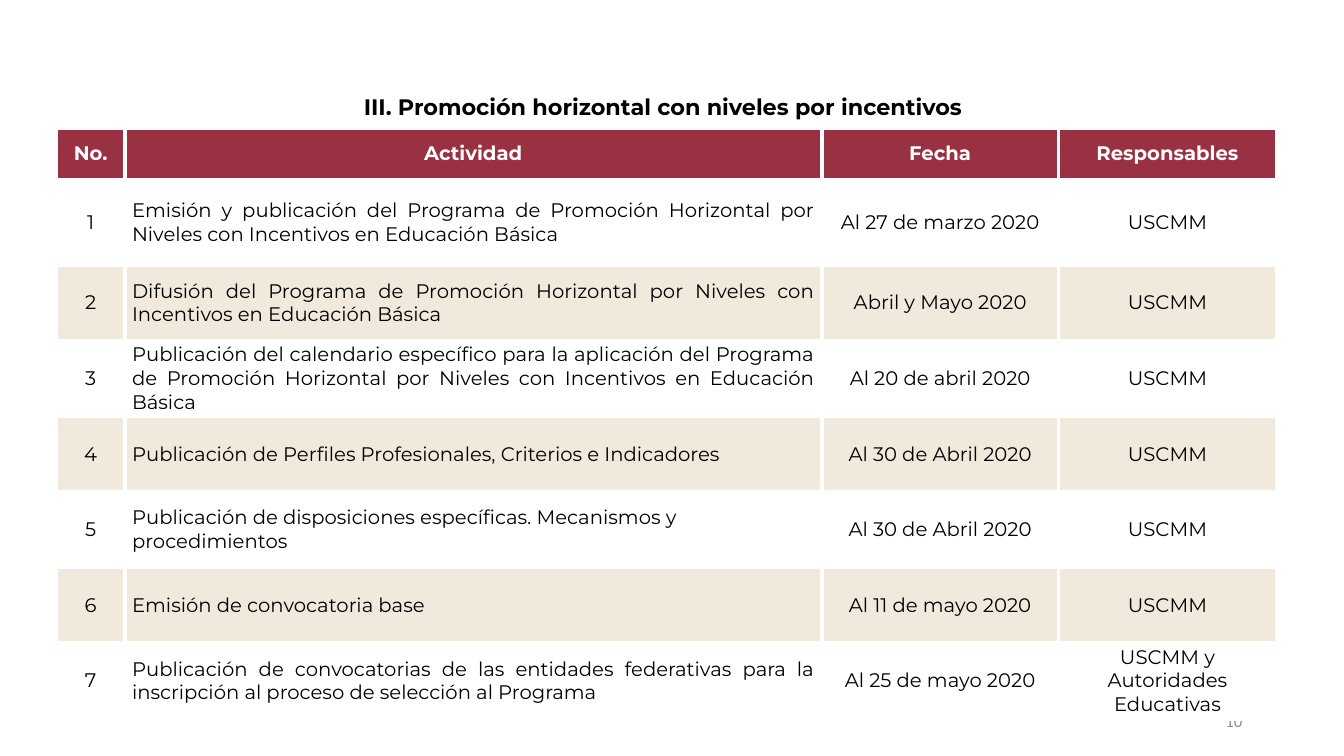
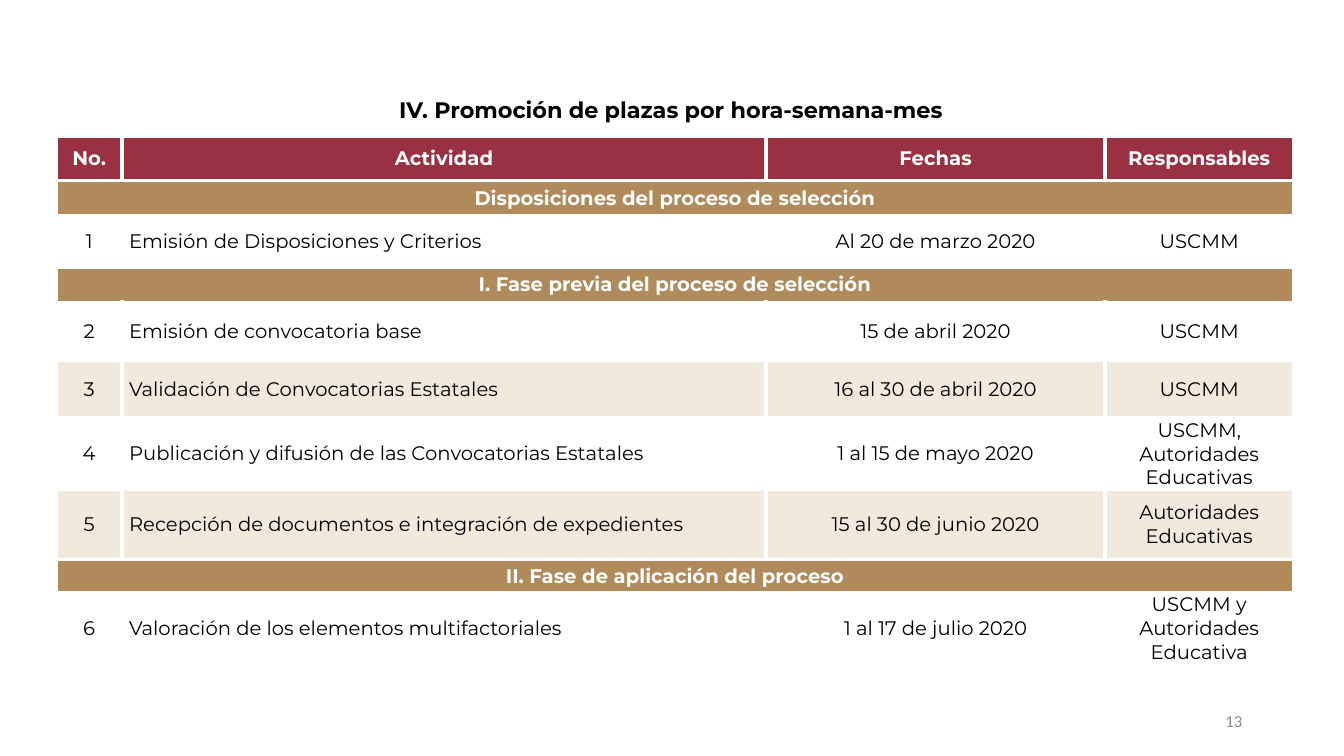
"""Build two slides with the schedules of the promotion processes."""
from dataclasses import dataclass

from lxml.etree import SubElement
from pptx import Presentation
from pptx.dml.color import RGBColor
from pptx.enum.text import MSO_ANCHOR, MSO_AUTO_SIZE, PP_ALIGN
from pptx.oxml import parse_xml
from pptx.oxml.ns import nsdecls, qn
from pptx.util import Inches, Pt


@dataclass(frozen=True)
class Theme:
    """Colours, fonts and sizes shared by the slides."""
    header: str = "993142"
    section: str = "B08A5A"
    stripe: str = "F0E9DC"
    light: str = "FFFFFF"
    ink: str = "000000"
    muted: str = "8C8C8C"
    font: str = "Montserrat"
    number_font: str = "Calibri"
    title_size: int = 16
    table_size: int = 14
    number_size: int = 12
    border: int = 3
    cell_margin: float = 0.07


THEME = Theme()
UNIT = "USCMM"
TABLE_LEFT = 0.56
NUMBER_BOX = (9.42, 6.95, 3, 0.4)

SCHEDULES = [
    {
        "title": "III. Promoción horizontal con niveles por incentivos",
        "title_box": (3.51, 0.87, 6.23, 0.37),
        "number": 10,
        "top": 1.27,
        "columns": (0.68, 6.91, 2.35, 2.16),
        "header_height": 0.51,
        "header": ("No.", "Actividad", "Fecha", "Responsables"),
        "left_aligned": (4, 5, 6),
        "sections": [
            (None, 0, [
                (0.85, "Emisión y publicación del Programa de Promoción Horizontal por Niveles "
                       "con Incentivos en Educación Básica", "Al 27 de marzo 2020", UNIT),
                (0.75, "Difusión del Programa de Promoción Horizontal por Niveles con "
                       "Incentivos en Educación Básica", "Abril y Mayo 2020", UNIT),
                (0.75, "Publicación del calendario específico para la aplicación del Programa "
                       "de Promoción Horizontal por Niveles con Incentivos en Educación Básica",
                 "Al 20 de abril 2020", UNIT),
                (0.75, "Publicación de Perfiles Profesionales, Criterios e Indicadores",
                 "Al 30 de Abril 2020", UNIT),
                (0.75, "Publicación de disposiciones específicas. Mecanismos y procedimientos",
                 "Al 30 de Abril 2020", UNIT),
                (0.75, "Emisión de convocatoria base", "Al 11 de mayo 2020", UNIT),
                (0.75, "Publicación de convocatorias de las entidades federativas para la "
                       "inscripción al proceso de selección al Programa",
                 "Al 25 de mayo 2020", "USCMM y Autoridades Educativas"),
            ]),
        ],
    },
    {
        "title": "IV. Promoción de plazas por hora-semana-mes",
        "title_box": (3.86, 0.9, 5.68, 0.37),
        "number": 13,
        "top": 1.35,
        "columns": (0.65, 6.39, 3.36, 1.87),
        "header_height": 0.44,
        "header": ("No.", "Actividad", "Fechas", "Responsables"),
        "left_aligned": (5, 6),
        "sections": [
            ("Disposiciones del proceso de selección", 0.35, [
                (0.51, "Emisión de Disposiciones y Criterios", "Al 20 de marzo 2020", UNIT),
            ]),
            ("I. Fase previa del proceso de selección", 0.35, [
                (0.57, "Emisión de convocatoria base", "15 de abril 2020", UNIT),
                (0.58, "Validación de Convocatorias Estatales", "16 al 30 de abril 2020", UNIT),
                (0.7, "Publicación y difusión de las Convocatorias Estatales",
                 "1 al 15 de mayo 2020", "USCMM, Autoridades Educativas"),
                (0.7, "Recepción de documentos e integración de expedientes",
                 "15 al 30 de junio 2020", "Autoridades Educativas"),
            ]),
            ("II. Fase de aplicación del proceso", 0.33, [
                (0.7, "Valoración de los elementos multifactoriales",
                 "1 al 17 de julio 2020", "USCMM y Autoridades Educativa"),
            ]),
        ],
    },
]


def style_text(frame, font, size, color, bold=False, align=PP_ALIGN.LEFT):
    """Format the only paragraph of a text frame."""
    para = frame.paragraphs[0]
    para.alignment = align
    for span in para.runs:
        span.font.name = font
        span.font.size = Pt(size)
        span.font.bold = bold
        span.font.color.rgb = RGBColor.from_string(color)


def add_text(page, area, text):
    """Add a text box and return its text frame."""
    frame = page.shapes.add_textbox(*map(Inches, area)).text_frame
    frame.text = text
    return frame


def add_borders(cell):
    """Draw the light border on the four sides of a cell."""
    properties = cell._tc.get_or_add_tcPr()
    for position, side in enumerate(("lnL", "lnR", "lnT", "lnB")):
        line = parse_xml(f'<a:{side} {nsdecls("a")} w="{Pt(THEME.border)}"/>')
        fill = SubElement(line, qn("a:solidFill"))
        SubElement(fill, qn("a:srgbClr"), val=THEME.light)
        properties.insert(position, line)


def fill_cell(cell, text, fill, color, bold, align):
    """Write and style one table cell."""
    cell.text = text
    cell.vertical_anchor = MSO_ANCHOR.MIDDLE
    cell.margin_left = cell.margin_right = Inches(THEME.cell_margin)
    cell.margin_top = cell.margin_bottom = 0
    cell.fill.solid()
    cell.fill.fore_color.rgb = RGBColor.from_string(fill)
    style_text(cell.text_frame, THEME.font, THEME.table_size, color, bold, align)
    add_borders(cell)


def list_rows(schedule):
    """Return height, texts, fill and activity alignment of each table row."""
    rows = [(schedule["header_height"], schedule["header"], THEME.header, PP_ALIGN.CENTER)]
    number = 0
    for heading, heading_height, activities in schedule["sections"]:
        if heading:
            rows.append((heading_height, (heading, "", "", ""), THEME.section, PP_ALIGN.CENTER))
        for index, (height, *texts) in enumerate(activities):
            number += 1
            fill = THEME.stripe if index % 2 else THEME.light
            align = PP_ALIGN.LEFT if number in schedule["left_aligned"] else PP_ALIGN.JUSTIFY
            rows.append((height, (str(number), *texts), fill, align))
    return rows


def add_schedule_table(page, schedule):
    """Add the schedule as a table with merged section rows."""
    rows, columns = list_rows(schedule), schedule["columns"]
    area = (TABLE_LEFT, schedule["top"], sum(columns), sum(row[0] for row in rows))
    table = page.shapes.add_table(len(rows), len(columns), *map(Inches, area)).table
    table.horz_banding = False
    for column, width in zip(table.columns, columns):
        column.width = Inches(width)
    for row, (height, texts, fill, activity_align) in enumerate(rows):
        table.rows[row].height = Inches(height)
        strong = fill in (THEME.header, THEME.section)
        color = THEME.light if strong else THEME.ink
        for column, text in enumerate(texts):
            align = activity_align if column == 1 else PP_ALIGN.CENTER
            fill_cell(table.cell(row, column), text, fill, color, strong, align)
        if fill == THEME.section:
            table.cell(row, 0).merge(table.cell(row, len(columns) - 1))


def add_schedule_page(deck, schedule):
    """Add one slide with page number, table and title."""
    page = deck.slides.add_slide(deck.slide_layouts[6])
    number = add_text(page, NUMBER_BOX, str(schedule["number"]))
    number.word_wrap = True
    number.vertical_anchor = MSO_ANCHOR.MIDDLE
    style_text(number, THEME.number_font, THEME.number_size, THEME.muted, align=PP_ALIGN.RIGHT)
    add_schedule_table(page, schedule)
    title = add_text(page, schedule["title_box"], schedule["title"])
    title.word_wrap = False
    title.auto_size = MSO_AUTO_SIZE.SHAPE_TO_FIT_TEXT
    style_text(title, THEME.font, THEME.title_size, THEME.ink, bold=True)


def main():
    """Build and save the deck."""
    deck = Presentation()
    deck.slide_width, deck.slide_height = Inches(13.33), Inches(7.5)
    for schedule in SCHEDULES:
        add_schedule_page(deck, schedule)
    deck.save("out.pptx")


if __name__ == "__main__":
    main()
